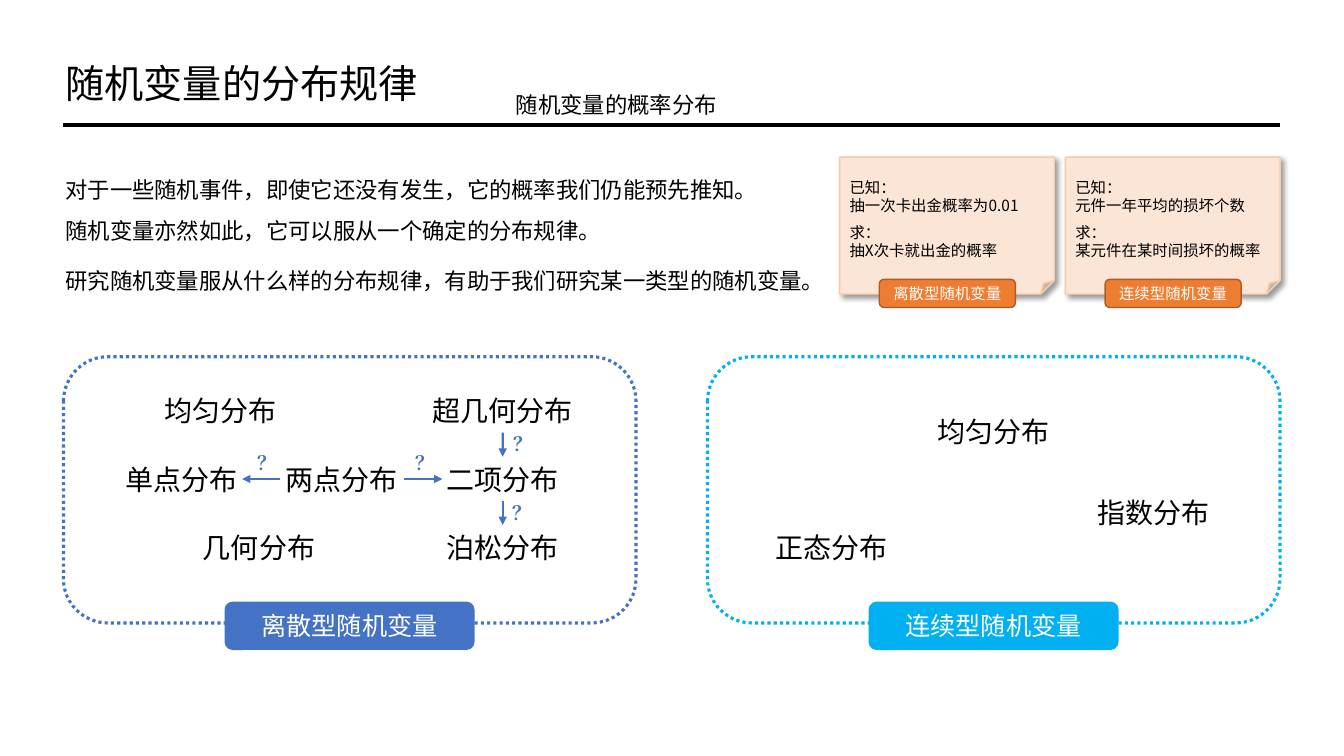
import pptx
import pptx.util
import pptx.dml.color
import pptx.enum.dml
import pptx.enum.shapes
import pptx.enum.text
import pptx.oxml
import pptx.oxml.ns
from lxml import etree
from pptx.util import Cm

COLOURS = {
    "black": "000000", "white": "FFFFFF", "blue": "4472C4", "cyan": "00B0F0",
    "note": "FBE5D6", "note_edge": "F8CBAD", "orange": "ED7D31", "orange_edge": "AF5C24",
}
FONT = "Noto Sans CJK SC"
ALIGN = pptx.enum.text.PP_ALIGN
SHAPE = pptx.enum.shapes.MSO_SHAPE
MIDDLE = pptx.enum.text.MSO_ANCHOR.MIDDLE
TOP = pptx.enum.text.MSO_ANCHOR.TOP


def rgb(name):
    return pptx.dml.color.RGBColor.from_string(COLOURS[name])


def add_xml(parent, tag, **attributes):
    return etree.SubElement(parent, pptx.oxml.ns.qn(tag), attributes)


def write(shape, lines, size, colour="black", align=ALIGN.LEFT, anchor=MIDDLE,
          font=FONT, bold=False, spacing=None, space_before=None):
    """Fill a shape with lines; space_before maps a line index to points."""
    frame = shape.text_frame
    frame.text = "\n".join(lines)
    frame.word_wrap = True
    frame.vertical_anchor = anchor
    frame.auto_size = pptx.enum.text.MSO_AUTO_SIZE.NONE
    frame.margin_left = frame.margin_right = Cm(0.25)
    frame.margin_top = frame.margin_bottom = Cm(0.13)
    for index, paragraph in enumerate(frame.paragraphs):
        paragraph.alignment = align
        paragraph.space_before = pptx.util.Pt((space_before or {}).get(index, 0))
        if spacing:
            paragraph.line_spacing = pptx.util.Pt(spacing)
        for run in paragraph.runs:
            run.font.size = pptx.util.Pt(size)
            run.font.bold = bold
            run.font.color.rgb = rgb(colour)
            run.font.name = font
            properties = run.font._element
            properties.set("lang", "zh-CN")
            add_xml(properties, "a:ea", typeface=font)


def add_text(shapes, left, top, width, height, lines, size, **style):
    box = shapes.add_textbox(Cm(left), Cm(top), Cm(width), Cm(height))
    write(box, lines, size, **style)
    return box


def add_box(shapes, kind, left, top, width, height, fill=None, edge=None,
            edge_width=1):
    box = shapes.add_shape(kind, Cm(left), Cm(top), Cm(width), Cm(height))
    box.shadow.inherit = False
    if fill:
        box.fill.solid()
        box.fill.fore_color.rgb = rgb(fill)
    else:
        box.fill.background()
    if edge:
        box.line.color.rgb = rgb(edge)
        box.line.width = pptx.util.Pt(edge_width)
    else:
        box.line.fill.background()
    return box


def add_line(shapes, start, end, colour, width, arrow=False):
    line = shapes.add_connector(pptx.enum.shapes.MSO_CONNECTOR.STRAIGHT,
                                Cm(start[0]), Cm(start[1]), Cm(end[0]), Cm(end[1]))
    line.line.color.rgb = rgb(colour)
    line.line.width = pptx.util.Pt(width)
    if arrow:
        add_xml(line.line._get_or_add_ln(), "a:tailEnd", type="triangle")
    add_xml(line._element.spPr, "a:effectLst")
    return line


def add_note(shapes, left, known, wanted, kind):
    """Folded paper with an example and a badge on its lower edge."""
    note = add_box(shapes, SHAPE.FOLDED_CORNER, left, 3.96, 5.41, 3.45,
                   "note", "note_edge")
    properties = note._element.spPr
    fold = properties.find(".//" + pptx.oxml.ns.qn("a:avLst"))
    add_xml(fold, "a:gd", name="adj", fmla="val 9800")
    effects = properties.find(pptx.oxml.ns.qn("a:effectLst"))
    shadow = add_xml(effects, "a:outerShdw", blurRad=str(pptx.util.Pt(4)),
                     dist=str(pptx.util.Pt(3)), dir="2700000", algn="tl", rotWithShape="0")
    black = add_xml(shadow, "a:srgbClr", val=COLOURS["black"])
    add_xml(black, "a:alpha", val="40000")
    write(note, ["已知：", known, "求：", wanted], 11, spacing=13.2, space_before={2: 6})
    badge = add_box(shapes, SHAPE.ROUNDED_RECTANGLE, left + 1, 7.04, 3.43, 0.71,
                    "orange", "orange_edge")
    write(badge, [kind], 11, colour="white", align=ALIGN.CENTER)


def add_panel(shapes, left, colour, kind):
    """Dotted frame with a badge on its lower edge."""
    group = shapes.add_group_shape().shapes
    frame = add_box(group, SHAPE.ROUNDED_RECTANGLE, left, 8.99, 14.43, 6.71,
                    edge=colour, edge_width=2.25)
    frame.line.dash_style = pptx.enum.dml.MSO_LINE.ROUND_DOT
    badge = add_box(group, SHAPE.ROUNDED_RECTANGLE, left + 4.06, 15.16, 6.3, 1.22, colour)
    write(badge, [kind], 18, colour="white", align=ALIGN.CENTER)


def add_distribution(shapes, name, centre, top):
    width = 4.42 if len(name) > 4 else 4.01
    return add_text(shapes, centre - width / 2, top, width, 1.12, [name], 20,
                    align=ALIGN.CENTER)


def main():
    presentation = pptx.Presentation()
    presentation.slide_width, presentation.slide_height = Cm(33.87), Cm(19.05)
    slide = presentation.slides.add_slide(presentation.slide_layouts[5])
    shapes = slide.shapes

    # Heading
    title = shapes.title
    title.left, title.top, title.width, title.height = Cm(1.4), Cm(1.37), Cm(11.38), Cm(1.45)
    write(title, ["随机变量的分布规律"], 28, align=ALIGN.JUSTIFY)
    add_line(shapes, (1.6, 3.15), (32.26, 3.15), "black", 2.25)
    add_text(shapes, 12.75, 2.16, 6.2, 0.94, ["随机变量的概率分布"], 16, align=ALIGN.JUSTIFY)

    # Introduction
    add_text(shapes, 1.4, 3.96, 20.17, 3.45, [
        "对于一些随机事件，即使它还没有发生，它的概率我们仍能预先推知。",
        "随机变量亦然如此，它可以服从一个确定的分布规律。",
        "研究随机变量服从什么样的分布规律，有助于我们研究某一类型的随机变量。",
    ], 16, anchor=TOP, spacing=29.3, space_before={2: 6})

    # Examples and panels
    discrete, continuous = "离散型随机变量", "连续型随机变量"
    add_note(shapes, 21.16, "抽一次卡出金概率为0.01", "抽X次卡就出金的概率", discrete)
    add_note(shapes, 26.85, "元件一年平均的损坏个数", "某元件在某时间损坏的概率", continuous)
    add_panel(shapes, 1.6, "blue", discrete)
    add_panel(shapes, 17.83, "cyan", continuous)

    # Distributions
    rows = (9.78, 11.51, 13.23)
    chain = [add_distribution(shapes, name, 12.67, top)
             for name, top in zip(("超几何分布", "二项分布", "泊松分布"), rows)]
    for name, centre, top in (
        ("均匀分布", 5.56, rows[0]), ("单点分布", 4.57, rows[1]),
        ("两点分布", 8.61, rows[1]), ("几何分布", 6.53, rows[2]),
        ("均匀分布", 25.04, 10.31), ("指数分布", 29.08, 12.34),
        ("正态分布", 20.95, rows[2]),
    ):
        add_distribution(shapes, name, centre, top)

    # Arrows between distributions, each with a question mark
    for start, end in ((7.06, 6.1), (10.19, 11.15)):
        add_line(shapes, (start, 12.07), (end, 12.07), "blue", 1.5, arrow=True)
    for upper, lower in zip(chain, chain[1:]):
        arrow = add_line(shapes, (0, 0), (0, 0), "blue", 1.5, arrow=True)
        arrow.begin_connect(upper, 2)
        arrow.end_connect(lower, 0)
    for left, top in ((6.25, 11.23), (10.21, 11.23), (12.7, 10.74), (12.67, 12.5)):
        add_text(shapes, left, top, 0.81, 0.86, ["？"], 14, colour="blue",
                 font="Times New Roman", bold=True)

    presentation.save("out.pptx")


if __name__ == "__main__":
    main()
